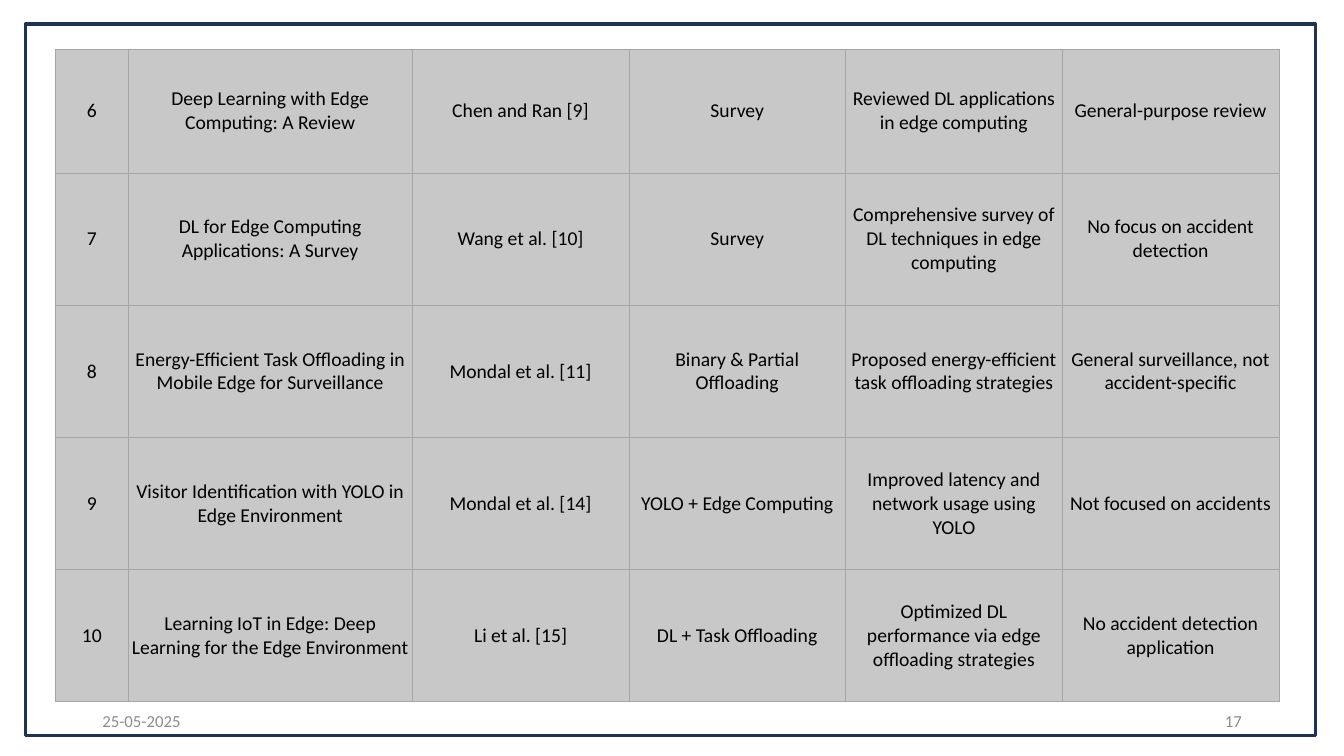
from dataclasses import astuple, dataclass

from lxml.etree import SubElement
from pptx import Presentation
from pptx.dml.color import RGBColor
from pptx.enum.shapes import MSO_SHAPE as Preset
from pptx.enum.text import MSO_ANCHOR as Anchor, PP_ALIGN as Align
from pptx.oxml.ns import qn
from pptx.util import Cm, Pt

COLORS = {
    "frame": "1E3256",
    "cell": "C8C8C8",
    "border": "A5A5A5",
    "text": "000000",
    "footer": "8C8C8C",
}
FONT = "Calibri"
COLUMN_WIDTHS = [1.83, 7.16] + [5.46] * 4
ROW_HEIGHTS = [3.12] + [3.33] * 4


@dataclass
class Study:
    number: str
    title: str
    authors: str
    method: str
    contribution: str
    limitation: str


@dataclass
class FooterItem:
    text: str
    left: float
    align: Align


STUDIES = [
    Study("6", "Deep Learning with Edge Computing: A Review", "Chen and Ran [9]",
          "Survey", "Reviewed DL applications in edge computing",
          "General-purpose review"),
    Study("7", "DL for Edge Computing Applications: A Survey", "Wang et al. [10]",
          "Survey", "Comprehensive survey of DL techniques in edge computing",
          "No focus on accident detection"),
    Study("8", "Energy-Efficient Task Offloading in Mobile Edge for Surveillance",
          "Mondal et al. [11]", "Binary & Partial Offloading",
          "Proposed energy-efficient task offloading strategies",
          "General surveillance, not accident-specific"),
    Study("9", "Visitor Identification with YOLO in Edge Environment",
          "Mondal et al. [14]", "YOLO + Edge Computing",
          "Improved latency and network usage using YOLO",
          "Not focused on accidents"),
    Study("10", "Learning IoT in Edge: Deep Learning for the Edge Environment",
          "Li et al. [15]", "DL + Task Offloading",
          "Optimized DL performance via edge offloading strategies",
          "No accident detection application"),
]
FOOTER = [
    FooterItem("25-05-2025", 2.33, Align.LEFT),
    FooterItem("17", 23.93, Align.RIGHT),
]


def rgb(key: str) -> RGBColor:
    return RGBColor.from_string(COLORS[key])


def write(frame, text: str, *, size: float = 14, color: str = "text",
          align: Align = Align.CENTER) -> None:
    frame.word_wrap = True
    paragraph = frame.paragraphs[0]
    paragraph.alignment = align
    run = paragraph.add_run()
    run.text = text
    run.font.name = FONT
    run.font.size = Pt(size)
    run.font.color.rgb = rgb(color)


def add_borders(cell) -> None:
    properties = cell._tc.get_or_add_tcPr()
    for side in ("lnL", "lnR", "lnT", "lnB"):
        border = SubElement(properties, qn(f"a:{side}"), w=str(Pt(0.5)))
        fill = SubElement(border, qn("a:solidFill"))
        SubElement(fill, qn("a:srgbClr"), val=COLORS["border"])


def draw_cell(cell, text: str) -> None:
    add_borders(cell)
    cell.fill.solid()
    cell.fill.fore_color.rgb = rgb("cell")
    cell.vertical_anchor = Anchor.MIDDLE
    cell.margin_left = cell.margin_right = Cm(0.08)
    cell.margin_top = cell.margin_bottom = Cm(0.03)
    write(cell.text_frame, text)


def draw_studies(slide, studies: list[Study]) -> None:
    survey = slide.shapes.add_table(
        len(studies), len(COLUMN_WIDTHS), Cm(1.4), Cm(1.24),
        Cm(sum(COLUMN_WIDTHS)), Cm(sum(ROW_HEIGHTS))).table
    survey.first_row = survey.horz_banding = False
    for column, width in zip(survey.columns, COLUMN_WIDTHS):
        column.width = Cm(width)
    for row, height, study in zip(survey.rows, ROW_HEIGHTS, studies):
        row.height = Cm(height)
        for cell, text in zip(row.cells, astuple(study)):
            draw_cell(cell, text)


def draw_footer_item(slide, item: FooterItem) -> None:
    footer = slide.shapes.add_textbox(
        Cm(item.left), Cm(17.65), Cm(7.62), Cm(1.02)).text_frame
    footer.vertical_anchor = Anchor.MIDDLE
    write(footer, item.text, size=12, color="footer", align=item.align)


def draw_frame(slide) -> None:
    frame = slide.shapes.add_shape(
        Preset.RECTANGLE, Cm(0.64), Cm(0.61), Cm(32.51), Cm(17.93))
    frame.shadow.inherit = False
    frame.fill.background()
    frame.line.color.rgb = rgb("frame")
    frame.line.width = Pt(2.5)


def main() -> None:
    deck = Presentation()
    deck.slide_width, deck.slide_height = Cm(33.87), Cm(19.05)
    slide = deck.slides.add_slide(deck.slide_layouts[6])
    for item in FOOTER:
        draw_footer_item(slide, item)
    draw_studies(slide, STUDIES)
    draw_frame(slide)
    deck.save("out.pptx")


if __name__ == "__main__":
    main()
